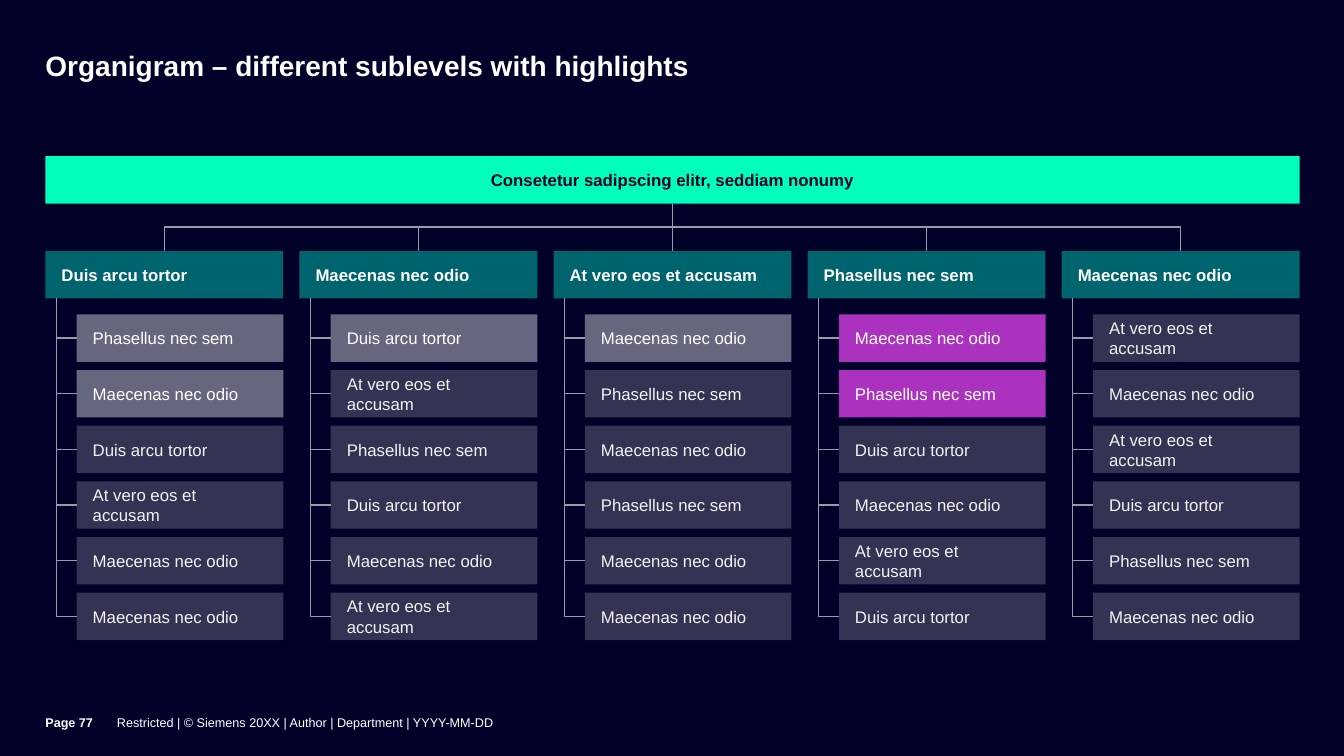
import pptx
import pptx.util
import pptx.dml.color
import pptx.enum.shapes
import pptx.enum.text
import pptx.oxml
import pptx.oxml.ns

Inches = pptx.util.Inches
Pt = pptx.util.Pt
CONN = pptx.enum.shapes.MSO_CONNECTOR
ANCHOR = pptx.enum.text.MSO_ANCHOR
ALIGN = pptx.enum.text.PP_ALIGN

NAVY, WHITE, MINT, TEAL = "000028", "FFFFFF", "00FFB9", "00646E"
DARK, GREY, PURPLE = "333353", "66667E", "AA32BE"
SOFT_WHITE, LINE = "F3F3F0", "9999A9"

LEFT, WIDTH, GAP, BOX_H = 0.45, 12.44, 0.16, 0.47
TOP_Y, HEAD_Y, BUS_Y = 1.55, 2.49, 2.25
FIRST_Y, LAST_Y, INDENT, TRUNK = 3.12, 5.88, 0.31, 0.11

DUIS, MAEC = "Duis arcu tortor", "Maecenas nec odio"
VERO, PHAS = "At vero eos et accusam", "Phasellus nec sem"

COLUMNS = [
    (DUIS, [PHAS, MAEC, DUIS, VERO, MAEC, MAEC], GREY, 2),
    (MAEC, [DUIS, VERO, PHAS, DUIS, MAEC, VERO], GREY, 1),
    (VERO, [MAEC, PHAS, MAEC, PHAS, MAEC, MAEC], GREY, 1),
    (PHAS, [MAEC, PHAS, DUIS, MAEC, VERO, DUIS], PURPLE, 2),
    (MAEC, [VERO, MAEC, VERO, DUIS, PHAS, MAEC], DARK, 0),
]


def rgb(value):
    return pptx.dml.color.RGBColor.from_string(value)


def write(tf, text, size, color, bold=False, insets=(0, 0, 0, 0),
          anchor=ANCHOR.MIDDLE, align=ALIGN.LEFT):
    tf.word_wrap = True
    tf.auto_size = pptx.enum.text.MSO_AUTO_SIZE.NONE
    tf.vertical_anchor = anchor
    tf.margin_left, tf.margin_top, tf.margin_right, tf.margin_bottom = map(Inches, insets)
    p = tf.paragraphs[0]
    p.alignment = align
    r = p.add_run()
    r.text = text
    r.font.name = "Arial"
    r.font.size = Pt(size)
    r.font.bold = bold
    r.font.color.rgb = rgb(color)
    return p


def add_box(s, x, y, w, text, fill, color, bold=False, side=0.16, align=ALIGN.LEFT):
    sp = s.shapes.add_shape(pptx.enum.shapes.MSO_SHAPE.RECTANGLE,
                            Inches(x), Inches(y), Inches(w), Inches(BOX_H))
    sp.shadow.inherit = False
    sp.fill.solid()
    sp.fill.fore_color.rgb = rgb(fill)
    sp.line.fill.background()
    write(sp.text_frame, text, 12, color, bold, (side, 0.08, side, 0.08), align=align)


def add_line(s, kind, x1, y1, x2, y2):
    cn = s.shapes.add_connector(kind, Inches(x1), Inches(y1), Inches(x2), Inches(y2))
    cn.line.color.rgb = rgb(LINE)
    cn.line.width = Pt(1)
    cn._element.spPr.append(pptx.oxml.parse_xml(
        "<a:effectLst %s/>" % pptx.oxml.ns.nsdecls("a")))
    return cn


def add_turned_elbow(s, x, y, w, h, preset, rot, flips):
    cx, cy = x + w / 2, y + h / 2
    cn = add_line(s, CONN.ELBOW, cx - h / 2, cy - w / 2, cx + h / 2, cy + w / 2)
    spPr = cn._element.spPr
    spPr.xfrm.set("rot", str(rot * 60000))
    for flip in flips:
        spPr.xfrm.set(flip, "1")
    geom = spPr.find(pptx.oxml.ns.qn("a:prstGeom"))
    geom.set("prst", preset)
    return geom


def add_bus(s, x1, x2):
    rise = 0.01
    geom = add_turned_elbow(s, x1, HEAD_Y, x2 - x1, rise, "bentConnector3", 90,
                            ("flipH", "flipV"))
    ratio = round((HEAD_Y + rise - BUS_Y) / rise * 100000)
    for old in list(geom):
        geom.remove(old)
    geom.append(pptx.oxml.parse_xml(
        '<a:avLst %s><a:gd name="adj1" fmla="val %d"/></a:avLst>'
        % (pptx.oxml.ns.nsdecls("a"), ratio)))


def add_column(s, x, w, head, items, highlight, count):
    add_box(s, x, HEAD_Y, w, head, TEAL, WHITE, True)
    step = (LAST_Y - FIRST_Y) / (len(items) - 1)
    trunk_y = HEAD_Y + BOX_H
    for i, item in enumerate(items):
        y = FIRST_Y + i * step
        lit = i < count
        add_box(s, x + INDENT, y, w - INDENT, item,
                highlight if lit else DARK, WHITE if lit else SOFT_WHITE)
        add_turned_elbow(s, x + TRUNK, trunk_y, INDENT - TRUNK,
                         y + BOX_H / 2 - trunk_y, "bentConnector2", 270, ("flipH",))


def add_organigram(s, x, w):
    n = len(COLUMNS)
    col_w = (w - GAP * (n - 1)) / n
    lefts = [x + i * (col_w + GAP) for i in range(n)]
    add_box(s, x, TOP_Y, w, "Consetetur sadipscing elitr, seddiam nonumy",
            MINT, NAVY, True, 0.12, ALIGN.CENTER)
    middle = x + w / 2
    add_line(s, CONN.STRAIGHT, middle, TOP_Y + BOX_H, middle, HEAD_Y)
    for i in range(n // 2):
        add_bus(s, lefts[i] + col_w / 2, lefts[n - 1 - i] + col_w / 2)
    for left, column in zip(lefts, COLUMNS):
        add_column(s, left, col_w, *column)


def add_title(s, x, y, w, h):
    sp = s.shapes.title
    sp.left, sp.top, sp.width, sp.height = map(Inches, (x, y, w, h))
    p = write(sp.text_frame, "Organigram – different sublevels with highlights",
              20, WHITE, True, (0, 0, 0.35, 0.02), ANCHOR.TOP)
    p.line_spacing = 0.9


def add_footer(s, x, y, w, h):
    page_w = 0.71
    parts = [(x, page_w, "Page 77", True),
             (x + page_w, w - page_w,
              "Restricted | © Siemens 20XX | Author | Department | YYYY-MM-DD", False)]
    for left, width, text, bold in parts:
        sp = s.shapes.add_textbox(Inches(left), Inches(y), Inches(width), Inches(h))
        write(sp.text_frame, text, 9, WHITE, bold, (0, 0, 0, 0.07))


def main():
    prs = pptx.Presentation()
    prs.slide_width, prs.slide_height = Inches(13.33), Inches(7.5)
    s = prs.slides.add_slide(prs.slide_layouts[5])
    s.background.fill.solid()
    s.background.fill.fore_color.rgb = rgb(NAVY)
    add_title(s, LEFT, 0.52, 10.79, 0.63)
    add_organigram(s, LEFT, WIDTH)
    add_footer(s, LEFT, 6.9, 10.79, 0.6)
    prs.save("out.pptx")


if __name__ == "__main__":
    main()
